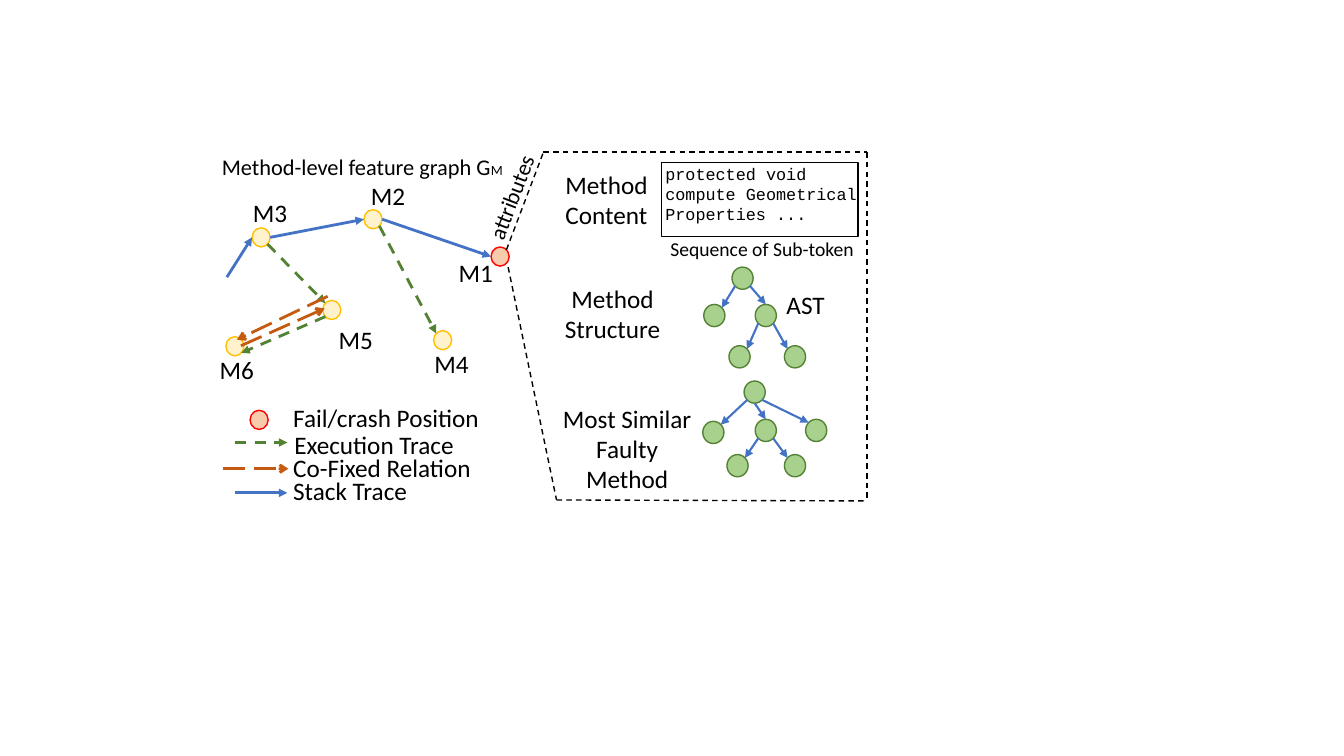
from lxml import etree
from pptx import Presentation
from pptx.dml.color import RGBColor
from pptx.enum.dml import MSO_LINE
from pptx.enum.shapes import MSO_CONNECTOR, MSO_SHAPE
from pptx.enum.text import MSO_ANCHOR, MSO_AUTO_SIZE, PP_ALIGN
from pptx.oxml.ns import qn
from pptx.util import Inches, Pt

STRAIGHT = MSO_CONNECTOR.STRAIGHT
OVAL, RECTANGLE = MSO_SHAPE.OVAL, MSO_SHAPE.RECTANGLE
DASH, LONG_DASH = MSO_LINE.DASH, MSO_LINE.LONG_DASH
LEFT, CENTER = PP_ALIGN.LEFT, PP_ALIGN.CENTER
TOP, NO_AUTOFIT = MSO_ANCHOR.TOP, MSO_AUTO_SIZE.NONE

BLACK, BLUE, GREEN, ORANGE = "000000", "4472C4", "548235", "C55A11"

STACK = dict(color=BLUE, width=2, arrow="triangle")
EXECUTION = dict(color=GREEN, width=2, dash=DASH, arrow="triangle")
CO_FIXED = dict(color=ORANGE, width=2, dash=LONG_DASH, arrow="arrow")
TREE_EDGE = dict(color=BLUE, width=1.5, arrow="triangle")
OUTLINE = dict(color=BLACK, width=1, dash=DASH)

METHOD = dict(size=(0.18, 0.19), fill="FFF2CC", line="FFC000")
FAILED = dict(size=(0.18, 0.19), fill="F8CBAD", line="FF0000")
SYNTAX = dict(size=(0.21, 0.22), fill="A9D18E", line=GREEN)

NODES = {
    "M1": (4.87, 2.45, FAILED),
    "M2": (3.61, 2.08, METHOD),
    "M3": (2.5, 2.26, METHOD),
    "M4": (4.3, 3.28, METHOD),
    "M5": (3.2, 2.98, METHOD),
    "M6": (2.24, 3.34, METHOD),
    "legend": (2.48, 4.07, FAILED),
    "ast root": (7.26, 2.65, SYNTAX),
    "ast left": (6.98, 3.02, SYNTAX),
    "ast right": (7.49, 3.02, SYNTAX),
    "ast leaf left": (7.23, 3.43, SYNTAX),
    "ast leaf right": (7.78, 3.43, SYNTAX),
    "faulty root": (7.38, 3.78, SYNTAX),
    "faulty left": (6.97, 4.18, SYNTAX),
    "faulty middle": (7.49, 4.16, SYNTAX),
    "faulty right": (7.99, 4.16, SYNTAX),
    "faulty leaf left": (7.21, 4.51, SYNTAX),
    "faulty leaf right": (7.78, 4.51, SYNTAX),
}

SITES = {
    "top": (0.5, 0), "left": (0, 0.5), "right": (1, 0.5), "bottom": (0.5, 1),
    "top left": (0.15, 0.15), "top right": (0.85, 0.15),
    "bottom left": (0.15, 0.85), "bottom right": (0.85, 0.85),
}

LINKS = [
    (("M3", "right"), ("M2", "left"), STACK),
    (("M2", "right"), ("M1", "left"), STACK),
    ((2.25, 2.75), ("M3", "left"), STACK),
    (("M2", "bottom right"), ("M4", "top left"), EXECUTION),
    (("M3", "bottom right"), ("M5", "top left"), EXECUTION),
    (("M5", "bottom left"), ("M6", "bottom right"), EXECUTION),
    ((2.39, 3.43), (3.22, 3.06), CO_FIXED),
    ((3.25, 2.94), (2.35, 3.37), CO_FIXED),
    ((2.33, 4.39), (2.85, 4.39), EXECUTION),
    ((2.21, 4.65), (2.86, 4.65), CO_FIXED),
    ((2.33, 4.89), (2.85, 4.89), STACK),
    (("ast root", "bottom left"), ("ast left", "top right"), TREE_EDGE),
    (("ast root", "bottom right"), ("ast right", "top"), TREE_EDGE),
    (("ast right", "bottom left"), ("ast leaf left", "top right"), TREE_EDGE),
    (("ast right", "bottom right"), ("ast leaf right", "top left"), TREE_EDGE),
    (("faulty root", "bottom left"), ("faulty left", "top right"), TREE_EDGE),
    (("faulty root", "bottom"), ("faulty middle", "top"), TREE_EDGE),
    (("faulty root", "bottom right"), ("faulty right", "top left"), TREE_EDGE),
    (("faulty middle", "bottom left"), ("faulty leaf left", "top right"), TREE_EDGE),
    (("faulty middle", "bottom right"), ("faulty leaf right", "top left"), TREE_EDGE),
    (("M1", "top right"), (5.39, 1.51), OUTLINE),
    ((5.39, 1.51), (8.6, 1.51), OUTLINE),
    ((5.04, 2.65), (5.52, 4.96), OUTLINE),
    ((5.52, 4.96), (8.6, 4.97), OUTLINE),
    ((8.6, 1.51), (8.6, 4.98), OUTLINE),
]

TITLE = ("Method-level feature graph G", "M", (2.1, 1.47, 3.08, 0.37))
CODE_FRAME = (6.56, 1.61, 1.95, 0.74)
LABELS = [
    ("M1", (4.45, 2.5, 0.74, 0.4), {}),
    ("M2", (3.58, 1.74, 0.74, 0.4), {}),
    ("M3", (2.41, 1.91, 0.74, 0.4), {}),
    ("M4", (4.21, 3.41, 0.74, 0.4), {}),
    ("M5", (3.26, 3.17, 0.82, 0.4), {}),
    ("M6", (2.08, 3.47, 0.74, 0.4), {}),
    ("Fail/crash Position", (2.81, 3.94, 2.24, 0.4), {}),
    ("Execution Trace", (2.82, 4.21, 1.91, 0.4), {}),
    ("Co-Fixed Relation", (2.81, 4.44, 2.54, 0.4), {}),
    ("Stack Trace", (2.81, 4.67, 2.54, 0.4), {}),
    ("attributes", (4.24, 1.34, 1.99, 0.37), dict(size=16, rotation=291)),
    ("Method Content", (5.51, 1.63, 1.12, 0.71), {}),
    ("Method\nStructure", (5.27, 2.76, 1.61, 0.71), dict(align=CENTER)),
    ("Most Similar Faulty Method", (5.45, 3.95, 1.54, 1.01), dict(align=CENTER)),
    ("protected void compute Geometrical Properties ...", (6.5, 1.57, 2.12, 0.71),
     dict(size=12, font="Courier New")),
    ("Sequence of Sub-token", (6.55, 2.3, 2.24, 0.34), dict(size=14)),
    ("AST", (7.64, 2.82, 0.7, 0.4), dict(align=CENTER)),
]


def rgb(color):
    return RGBColor.from_string(color)


def inches(values):
    return [Inches(value) for value in values]


def write(shape, text, size=18, font="Calibri", align=LEFT, rotation=0, suffix=""):
    shape.rotation = rotation
    frame = shape.text_frame
    frame.word_wrap = True
    frame.auto_size = NO_AUTOFIT
    frame.vertical_anchor = TOP
    frame.text = text
    for paragraph in frame.paragraphs:
        paragraph.alignment = align
        if suffix:
            paragraph.add_run().text = suffix
        for run in paragraph.runs:
            run.font.name = font
            run.font.size = Pt(10 if run.text == suffix else size)
            run.font.color.rgb = rgb(BLACK)


def add_outlined(slide, kind, box, line, fill=None):
    shape = slide.shapes.add_shape(kind, *inches(box))
    shape.shadow.inherit = False
    shape.line.color.rgb = rgb(line)
    shape.line.width = Pt(1)
    if fill:
        shape.fill.solid()
        shape.fill.fore_color.rgb = rgb(fill)
    else:
        shape.fill.background()


def locate(end):
    if end[0] not in NODES:
        return end
    left, top, style = NODES[end[0]]
    width, height = style["size"]
    across, down = SITES[end[1]]
    return left + across * width, top + down * height


def add_link(slide, start, end, color, width, dash=None, arrow=None):
    points = inches(locate(start) + locate(end))
    connector = slide.shapes.add_connector(STRAIGHT, *points)
    connector.line.color.rgb = rgb(color)
    connector.line.width = Pt(width)
    if dash:
        connector.line.dash_style = dash
    if arrow:
        etree.SubElement(connector.get_or_add_ln(), qn("a:tailEnd"), type=arrow)
    etree.SubElement(connector.element.spPr, qn("a:effectLst"))


def main():
    presentation = Presentation()
    presentation.slide_width = Inches(13.33)
    presentation.slide_height = Inches(7.5)
    slide = presentation.slides.add_slide(presentation.slide_layouts[5])

    heading, subscript, box = TITLE
    title = slide.shapes.title
    title.left, title.top, title.width, title.height = inches(box)
    write(title, heading, size=16, suffix=subscript)

    for left, top, style in NODES.values():
        add_outlined(slide, OVAL, (left, top, *style["size"]), style["line"], style["fill"])
    add_outlined(slide, RECTANGLE, CODE_FRAME, BLACK)
    for start, end, style in LINKS:
        add_link(slide, start, end, **style)
    for text, box, style in LABELS:
        write(slide.shapes.add_textbox(*inches(box)), text, **style)

    presentation.save("out.pptx")


if __name__ == "__main__":
    main()
